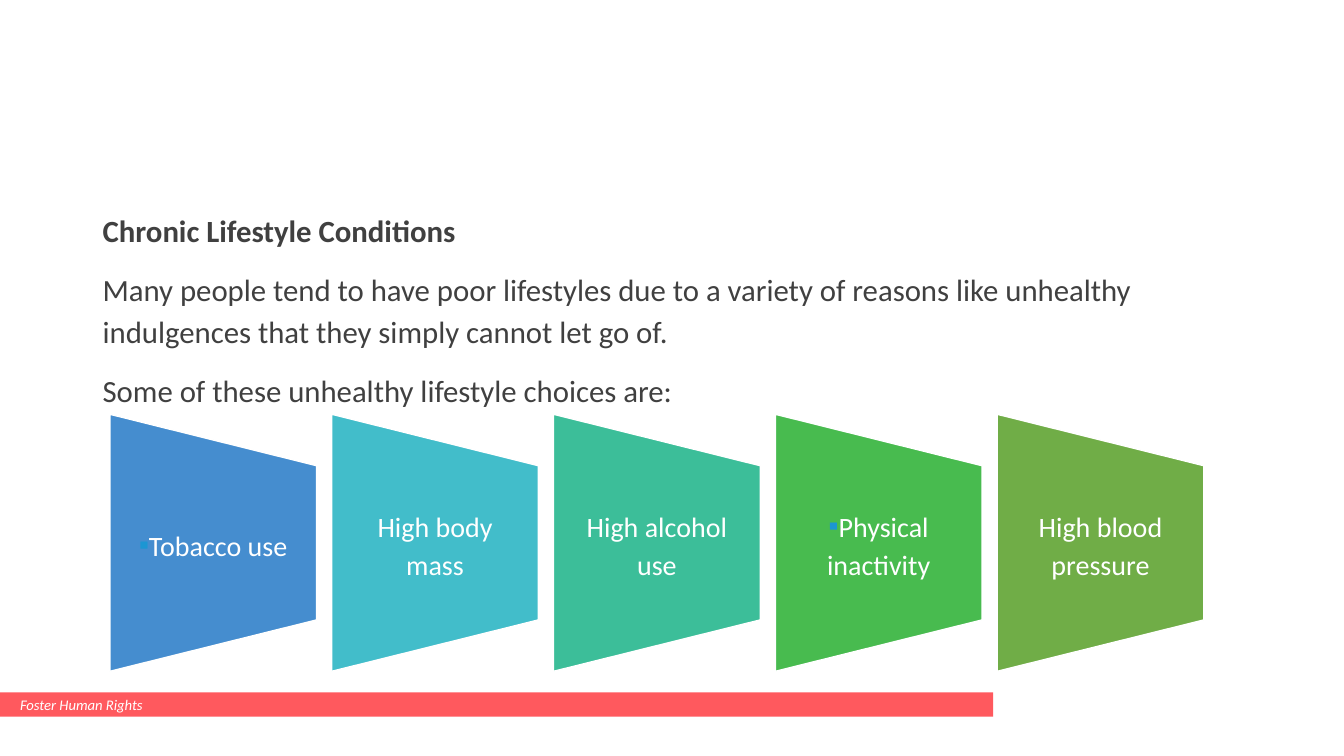
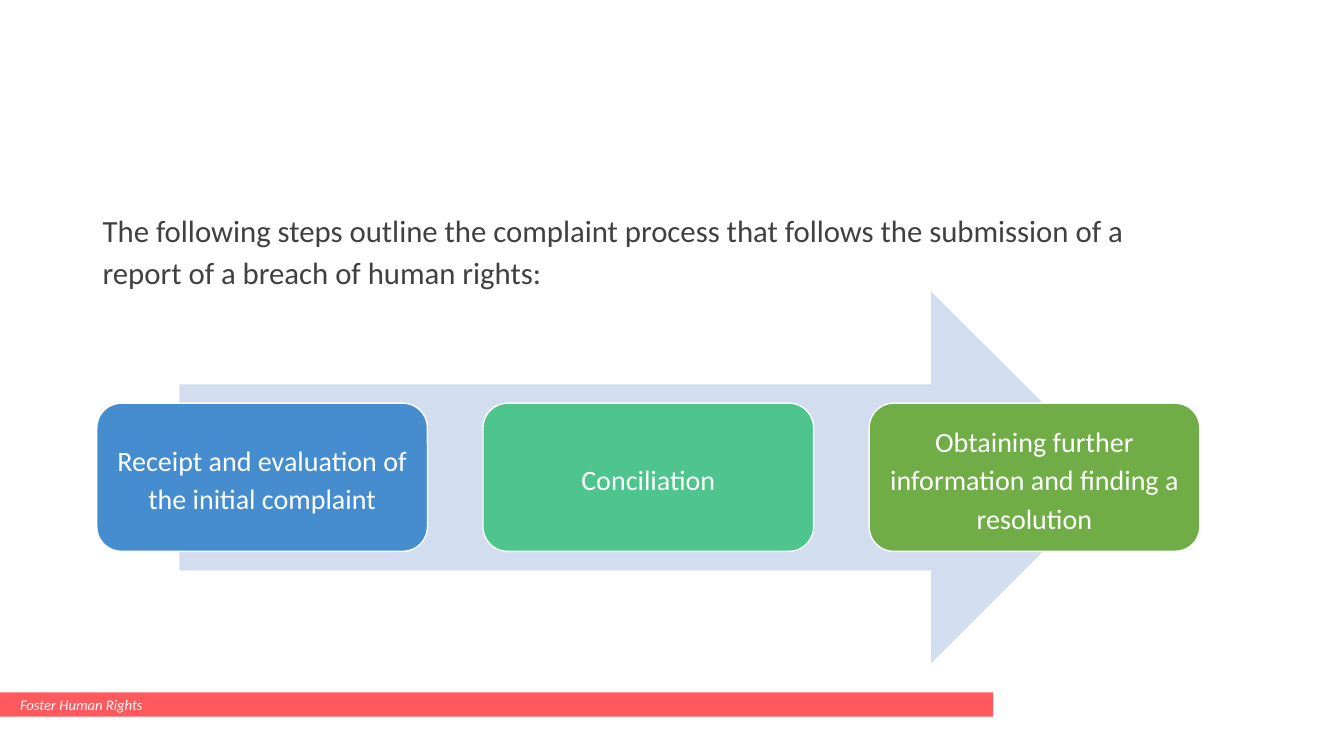
from lxml import etree
from pptx import Presentation
from pptx.dml.color import RGBColor
from pptx.enum.shapes import MSO_SHAPE
from pptx.enum.text import MSO_ANCHOR, PP_ALIGN
from pptx.oxml.ns import qn
from pptx.util import Inches, Pt

WHITE = RGBColor(0xFF, 0xFF, 0xFF)
DARK_GRAY = RGBColor(0x40, 0x40, 0x40)
CORAL = RGBColor(0xFF, 0x59, 0x5E)
BLUE = RGBColor(0x45, 0x8D, 0xCF)
BULLET_BLUE = RGBColor(0x1C, 0x96, 0xD3)
PALE_BLUE = RGBColor(0xD2, 0xDE, 0xEF)
TURQUOISE = RGBColor(0x42, 0xBD, 0xCA)
TEAL = RGBColor(0x3C, 0xBE, 0x99)
MINT = RGBColor(0x4D, 0xC5, 0x8D)
GREEN = RGBColor(0x48, 0xBB, 0x4F)
OLIVE = RGBColor(0x70, 0xAD, 0x47)

RECTANGLE = MSO_SHAPE.RECTANGLE
ROUNDED = MSO_SHAPE.ROUNDED_RECTANGLE
RIGHT_ARROW = MSO_SHAPE.RIGHT_ARROW
TRAPEZOID = MSO_SHAPE.FLOWCHART_MANUAL_OPERATION
TOP, MIDDLE = MSO_ANCHOR.TOP, MSO_ANCHOR.MIDDLE
LEFT, CENTER = PP_ALIGN.LEFT, PP_ALIGN.CENTER

FONT = "Calibri"
BLANK_LAYOUT = 6

CHOICES = [
    ("Tobacco use", BLUE, True),
    ("High body mass", TURQUOISE, False),
    ("High alcohol use", TEAL, False),
    ("Physical inactivity", GREEN, True),
    ("High blood pressure", OLIVE, False),
]
STEPS = [
    ("Receipt and evaluation of the initial complaint", BLUE),
    ("Conciliation", MINT),
    ("Obtaining further information and finding a resolution", OLIVE),
]


def set_indent(para, left):
    properties = para._p.get_or_add_pPr()
    properties.set("marL", str(Inches(left)))
    properties.set("indent", "0")
    return properties


def add_bullet(para):
    properties = set_indent(para, 0)
    color = etree.SubElement(properties, qn("a:buClr"))
    etree.SubElement(color, qn("a:srgbClr"), val=str(BULLET_BLUE))
    etree.SubElement(properties, qn("a:buFont"), typeface=FONT)
    etree.SubElement(properties, qn("a:buChar"), char="▪")


def write_text(shape, *texts, size=20, color=WHITE, align=CENTER, anchor=MIDDLE,
               insets=(0.1, 0.05), line_spacing=1.14, before=0, after=6,
               bold_first=False, italic=False, bullet=False, indent=0):
    """Write one paragraph per text; insets are horizontal and vertical inches."""
    frame = shape.text_frame
    frame.word_wrap = True
    frame.vertical_anchor = anchor
    frame.margin_left = frame.margin_right = Inches(insets[0])
    frame.margin_top = frame.margin_bottom = Inches(insets[1])
    for index, text in enumerate(texts):
        para = frame.add_paragraph() if index else frame.paragraphs[0]
        para.alignment = align
        para.line_spacing = line_spacing
        para.space_before = Pt(before if index else 0)
        para.space_after = Pt(after)
        if bullet:
            add_bullet(para)
        elif indent:
            set_indent(para, indent)
        span = para.add_run()
        span.text = text
        span.font.name = FONT
        span.font.size = Pt(size)
        span.font.color.rgb = color
        span.font.bold = bold_first and index == 0
        span.font.italic = italic


class SlideBuilder:
    """Holds the deck, its shared style and the slide being filled."""

    def __init__(self):
        self.deck = Presentation()
        self.deck.slide_width = Inches(13.33)
        self.deck.slide_height = Inches(7.5)
        self.slide = None

    def new_slide(self, *body, bold_first=False):
        self.slide = self.deck.slides.add_slide(self.deck.slide_layouts[BLANK_LAYOUT])
        write_text(self.text_box(0.92, 2, 11.03, 4.76), *body, size=22,
                   color=DARK_GRAY, align=LEFT, anchor=TOP, before=6,
                   bold_first=bold_first)
        footer = self.shape(RECTANGLE, 0, 6.87, 9.85, 0.24, CORAL)
        write_text(footer, "Foster Human Rights", size=10.5, align=LEFT,
                   line_spacing=1, after=0, italic=True, indent=0.1)

    def text_box(self, left, top, width, height):
        return self.slide.shapes.add_textbox(
            Inches(left), Inches(top), Inches(width), Inches(height))

    def shape(self, kind, left, top, width, height, fill, line=None):
        shape = self.slide.shapes.add_shape(
            kind, Inches(left), Inches(top), Inches(width), Inches(height))
        shape.shadow.inherit = False
        shape.fill.solid()
        shape.fill.fore_color.rgb = fill
        if line is None:
            shape.line.fill.background()
        else:
            shape.line.color.rgb = line
            shape.line.width = Pt(1)
        return shape

    def choice_card(self, left, top, width, height, text, fill, bullet):
        """Draw a trapezoid turned on its side, with upright text over it."""
        shift = (height - width) / 2
        card = self.shape(TRAPEZOID, left - shift, top + shift, height, width,
                          fill, WHITE)
        card.rotation = 270
        label = self.text_box(left, top + height / 5, width, height * 3 / 5)
        write_text(label, text, insets=(0.14, 0), bullet=bullet)

    def step_card(self, left, top, width, height, text, fill):
        card = self.shape(ROUNDED, left, top, width, height, fill, WHITE)
        write_text(card, text, insets=(0.08, 0.08))


def add_lifestyle_slide(builder):
    builder.new_slide(
        "Chronic Lifestyle Conditions",
        "Many people tend to have poor lifestyles due to a variety of reasons like "
        "unhealthy indulgences that they simply cannot let go of.",
        "Some of these unhealthy lifestyle choices are:",
        bold_first=True)
    for index, (text, fill, bullet) in enumerate(CHOICES):
        builder.choice_card(1.09 + 2.2 * index, 4.11, 2.05, 2.55, text, fill, bullet)


def add_complaint_slide(builder):
    builder.new_slide(
        "The following steps outline the complaint process that follows the "
        "submission of a report of a breach of human rights:")
    builder.shape(RIGHT_ARROW, 1.78, 2.89, 9.3, 3.69, PALE_BLUE)
    for index, (text, fill) in enumerate(STEPS):
        builder.step_card(0.96 + 3.83 * index, 4, 3.28, 1.47, text, fill)


def main():
    builder = SlideBuilder()
    add_lifestyle_slide(builder)
    add_complaint_slide(builder)
    builder.deck.save("out.pptx")


if __name__ == "__main__":
    main()
